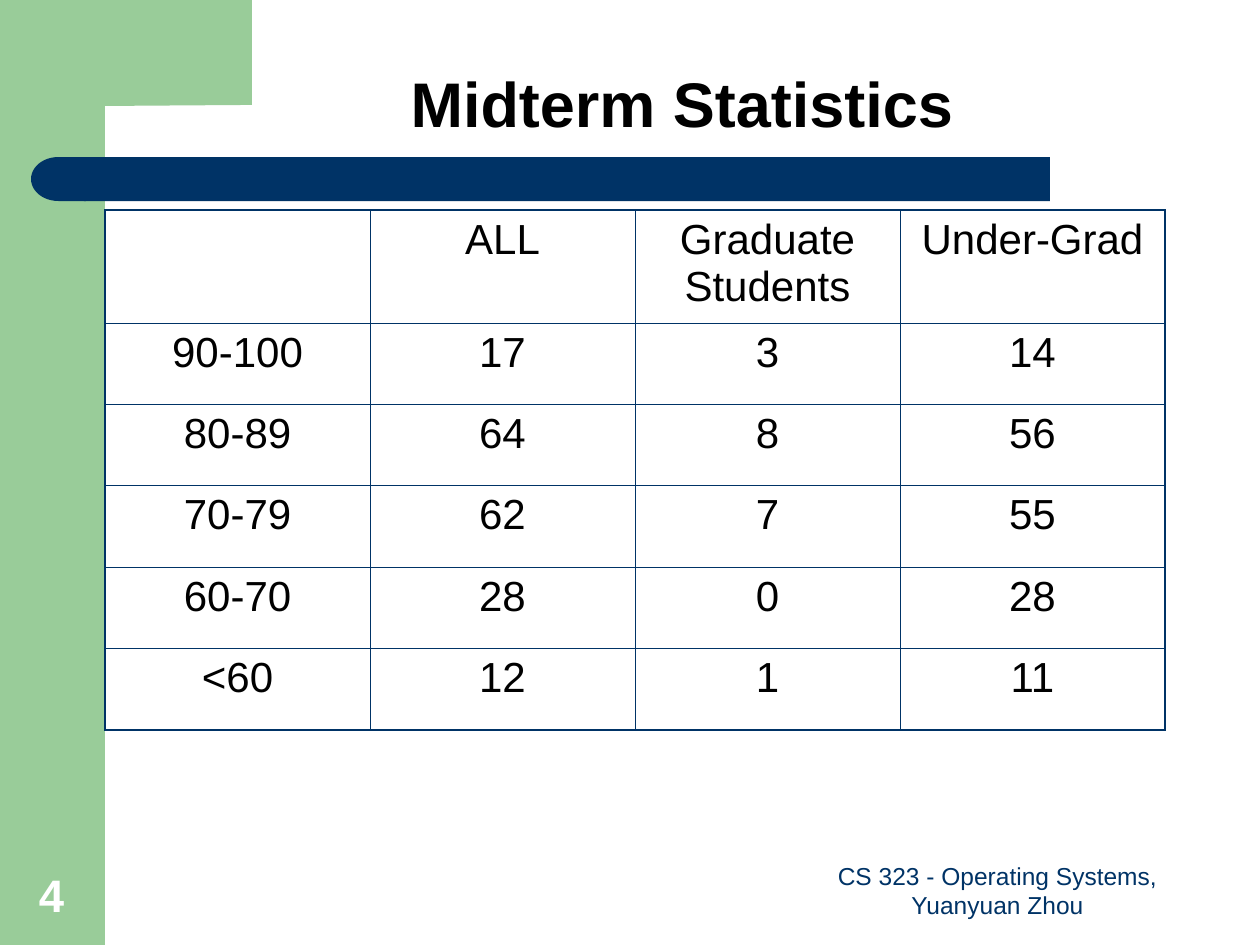
from dataclasses import dataclass

from lxml.etree import SubElement
from pptx import Presentation
from pptx.dml.color import RGBColor
from pptx.enum.shapes import MSO_SHAPE
from pptx.enum.text import MSO_ANCHOR, MSO_AUTO_SIZE, PP_ALIGN
from pptx.oxml.ns import qn
from pptx.util import Emu, Pt

GREEN = RGBColor(0x99, 0xCC, 0x99)
NAVY = RGBColor(0x00, 0x33, 0x66)
BLACK = RGBColor(0, 0, 0)
WHITE = RGBColor(255, 255, 255)
SCALE = 914400 / 126
THIN, THICK = 0.45, 1.08
HEAD, TOTAL, COLUMN = 113, 520, 265

ROWS = [
    ("", "ALL", "Graduate\vStudents", "Under-Grad"),
    ("90-100", "17", "3", "14"),
    ("80-89", "64", "8", "56"),
    ("70-79", "62", "7", "55"),
    ("60-70", "28", "0", "28"),
    ("<60", "12", "1", "11"),
]
CORNER = [
    (63, 0), (252, 0), (252, 105), (105, 106), (102, 105), (97, 107),
    (93, 111), (89, 116), (87, 123), (86, 131), (85, 138), (84, 146),
    (84, 161), (63, 161),
]


@dataclass
class Box:
    left: int
    top: int
    width: int
    height: int


@dataclass
class Font:
    size: int
    color: RGBColor
    bold: bool = False


@dataclass
class Block:
    kind: MSO_SHAPE
    box: Box
    color: RGBColor
    flip: bool = False


@dataclass
class Label:
    text: str
    box: Box
    font: Font


BAND = Block(MSO_SHAPE.RECTANGLE, Box(0, 0, 105, 945), GREEN)
BARS = [
    Block(MSO_SHAPE.ROUNDED_RECTANGLE, Box(84, 157, 966, 44), NAVY),
    Block(MSO_SHAPE.FLOWCHART_DELAY, Box(31, 157, 55, 44), NAVY, True),
]
TITLE = Label("Midterm Statistics", Box(146, 10, 1072, 137), Font(36, BLACK, True))
NOTES = [
    Label("CS 323 - Operating Systems, Yuanyuan Zhou",
          Box(798, 861, 399, 65), Font(14, NAVY)),
    Label("4", Box(11, 861, 81, 67), Font(26, WHITE, True)),
]


def px(value: float) -> Emu:
    return Emu(round(value * SCALE))


def spot(box: Box) -> list[Emu]:
    return [px(n) for n in (box.left, box.top, box.width, box.height)]


def style(frame, font: Font) -> None:
    for para in frame.paragraphs:
        para.alignment = PP_ALIGN.CENTER
        for run in para.runs:
            run.font.name = "Arial"
            run.font.size = Pt(font.size)
            run.font.bold = font.bold
            run.font.color.rgb = font.color


def paint(shape, color: RGBColor) -> None:
    shape.shadow.inherit = False
    shape.fill.solid()
    shape.fill.fore_color.rgb = color
    shape.line.fill.background()


def draw_block(slide, block: Block) -> None:
    shape = slide.shapes.add_shape(block.kind, *spot(block.box))
    paint(shape, block.color)
    if block.kind == MSO_SHAPE.ROUNDED_RECTANGLE:
        shape.adjustments[0] = 0
    if block.flip:
        shape._element.spPr.find(qn("a:xfrm")).set("flipH", "1")


def draw_corner(slide) -> None:
    form = slide.shapes.build_freeform(*CORNER[0], scale=SCALE)
    form.add_line_segments(CORNER[1:], close=True)
    paint(form.convert_to_shape(), GREEN)


def write(shape, label: Label) -> None:
    shape.left, shape.top, shape.width, shape.height = spot(label.box)
    frame = shape.text_frame
    frame.text = label.text
    frame.word_wrap = True
    frame.auto_size = MSO_AUTO_SIZE.NONE
    frame.vertical_anchor = MSO_ANCHOR.BOTTOM
    style(frame, label.font)


def edge(cell, tag: str, width: float) -> None:
    line = SubElement(cell._tc.get_or_add_tcPr(), qn(tag), w=str(Pt(width)))
    fill = SubElement(line, qn("a:solidFill"))
    SubElement(fill, qn("a:srgbClr"), val=str(NAVY))


def draw_table(slide) -> None:
    last, end = len(ROWS) - 1, len(ROWS[0]) - 1
    box = Box(105, 210, COLUMN * (end + 1), TOTAL)
    table = slide.shapes.add_table(last + 1, end + 1, *spot(box)).table
    table.first_row = table.horz_banding = False
    for col in table.columns:
        col.width = px(COLUMN)
    for r, texts in enumerate(ROWS):
        table.rows[r].height = px((TOTAL - HEAD) / last if r else HEAD)
        for c, text in enumerate(texts):
            cell = table.cell(r, c)
            cell.text = text
            cell.text_frame.paragraphs[0].space_before = Pt(6)
            style(cell.text_frame, Font(24, BLACK))
            sides = {"a:lnL": c == 0, "a:lnR": c == end,
                     "a:lnT": r == 0, "a:lnB": r == last}
            for tag, outer in sides.items():
                edge(cell, tag, THICK if outer else THIN)
            cell.fill.background()


def main() -> None:
    deck = Presentation()
    deck.slide_width, deck.slide_height = px(1260), px(945)
    slide = deck.slides.add_slide(deck.slide_layouts[5])
    draw_block(slide, BAND)
    draw_corner(slide)
    for bar in BARS:
        draw_block(slide, bar)
    write(slide.shapes.title, TITLE)
    slide.shapes.title.text_frame.paragraphs[0].line_spacing = 0.9
    draw_table(slide)
    for note in NOTES:
        write(slide.shapes.add_textbox(*spot(note.box)), note)
    deck.save("out.pptx")


if __name__ == "__main__":
    main()
